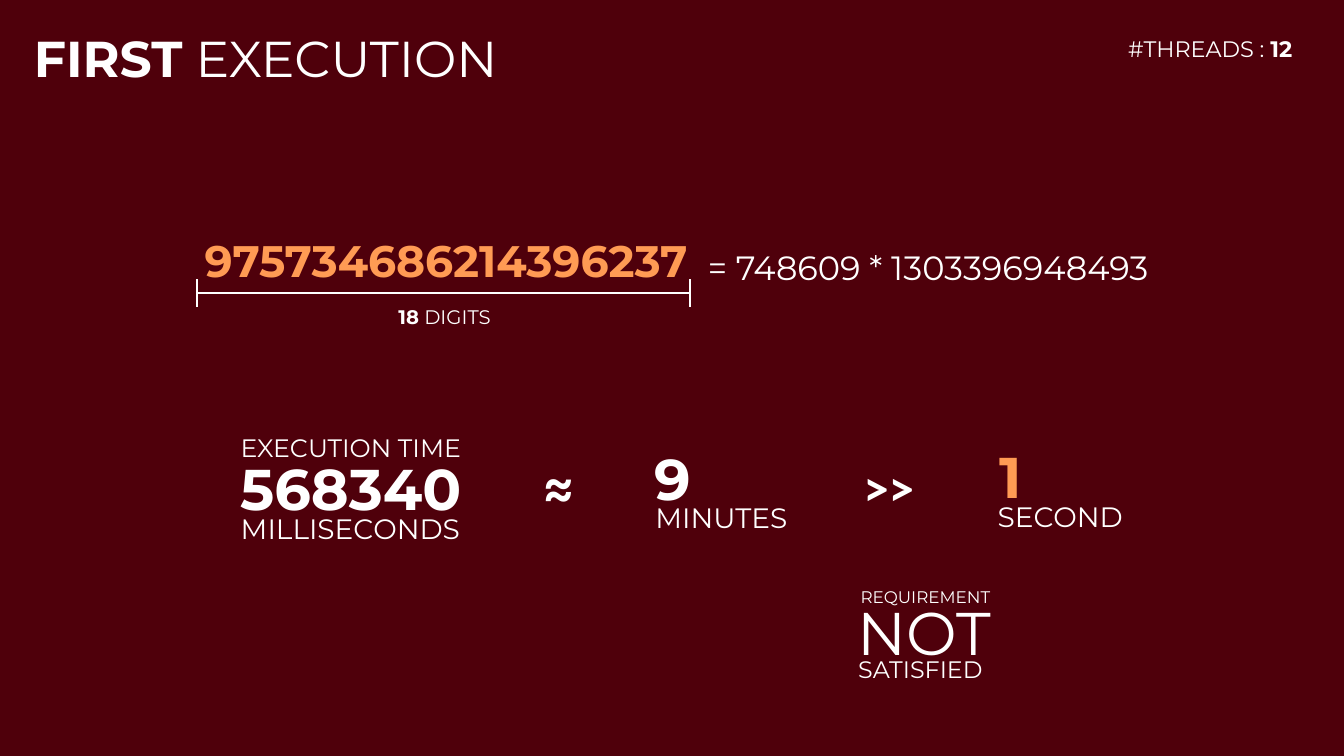
import pptx
import pptx.util
import pptx.dml.color
import pptx.enum.shapes
import pptx.enum.text
import pptx.oxml.ns
from lxml import etree
from pptx.util import Inches

THEME = {
    "background": "4F000B", "text": "FFFFFF", "accent": "FF9B54",
    "font": "Montserrat", "symbol_font": "Calibri", "line": 1.5,
    "title": 36, "number": 31.5, "factors": 24, "digits": 14, "threads": 16,
    "value": 41, "symbol": 36, "label": 18, "unit": 20,
    "requirement": 12, "verdict": 43, "satisfied": 17,
}

# Content: (text, bold) runs, box (left, top, width, height), format
HEADER = [
    ([("FIRST", True), (" EXECUTION", False)], (0.15, 0.22, 4.97, 0.71), {"size": "title"}),
    ([("#THREADS : ", False), ("12", True)], (11.09, 0.3, 2.06, 0.37),
     {"size": "threads", "align": "LEFT"}),
]
FACTORISATION = [
    ([("975734686214396237", True)], (1.79, 2.27, 5.27, 0.64),
     {"size": "number", "color": "accent"}),
    ([("18", True), (" DIGITS", False)], (1.96, 2.98, 4.9, 0.34), {"size": "digits"}),
    ([("= 748609 * 1303396948493", False)], (6.86, 2.4, 4.69, 0.5), {"size": "factors"}),
]
TIMING = [
    ([("EXECUTION TIME", False)], (2, 4.24, 2.96, 0.4), {"size": "label"}),
    ([("568340", True)], (2.07, 4.45, 2.82, 0.79), {"size": "value"}),
    ([("MILLISECONDS", False)], (1.13, 5.03, 4.69, 0.44), {"size": "unit"}),
    ([("≈", True)], (5.03, 4.5, 1.02, 0.71), {"size": "symbol"}),
    ([("9", True)], (5.81, 4.35, 1.72, 0.79), {"size": "value"}),
    ([("MINUTES", False)], (5.8, 4.92, 2.71, 0.44), {"size": "unit"}),
    ([(">>", True)], (8.25, 4.48, 1.13, 0.71), {"size": "symbol", "font": "symbol_font"}),
    ([("1", True)], (9.16, 4.33, 1.72, 0.79), {"size": "value", "color": "accent"}),
    ([("SECOND", False)], (9.16, 4.91, 2.71, 0.44), {"size": "unit"}),
]
VERDICT = [
    ([("REQUIREMENT ", False)], (8.29, 5.77, 1.82, 0.3), {"size": "requirement"}),
    ([("NOT", False)], (8.21, 5.86, 1.91, 0.82), {"size": "verdict"}),
    ([("SATISFIED ", False)], (8.25, 6.45, 1.82, 0.39), {"size": "satisfied"}),
]
BRACKET = {"left": 1.95, "right": 6.84, "middle": 2.91, "tick": 0.14}


def rgb(name):
    return pptx.dml.color.RGBColor.from_string(THEME[name])


def add_text(slide, runs, box, *, size, color="text", font="font", align="CENTER"):
    frame = slide.shapes.add_textbox(*map(Inches, box)).text_frame
    frame.word_wrap = True
    paragraph = frame.paragraphs[0]
    paragraph.alignment = getattr(pptx.enum.text.PP_ALIGN, align)
    for words, bold in runs:
        run = paragraph.add_run()
        run.text = words
        run.font.name = THEME[font]
        run.font.size = pptx.util.Pt(THEME[size])
        run.font.bold = bold
        run.font.color.rgb = rgb(color)


def add_line(slide, x1, y1, x2, y2):
    line = slide.shapes.add_connector(
        pptx.enum.shapes.MSO_CONNECTOR.STRAIGHT, *map(Inches, (x1, y1, x2, y2)))
    line.line.color.rgb = rgb("text")
    line.line.width = pptx.util.Pt(THEME["line"])
    etree.SubElement(line._element.spPr, pptx.oxml.ns.qn("a:effectLst"))


def add_bracket(slide, left, right, middle, tick):
    add_line(slide, left, middle, right, middle)
    for end in (left, right):
        add_line(slide, end, middle - tick, end, middle + tick)


def main():
    deck = pptx.Presentation()
    deck.slide_width, deck.slide_height = Inches(13.33), Inches(7.5)
    slide = deck.slides.add_slide(deck.slide_layouts[6])
    slide.background.fill.solid()
    slide.background.fill.fore_color.rgb = rgb("background")

    # Text of each section
    for section in (HEADER, FACTORISATION, TIMING, VERDICT):
        for runs, box, style in section:
            add_text(slide, runs, box, **style)

    # Bracket measuring the long number
    add_bracket(slide, **BRACKET)

    deck.save("out.pptx")


if __name__ == "__main__":
    main()
